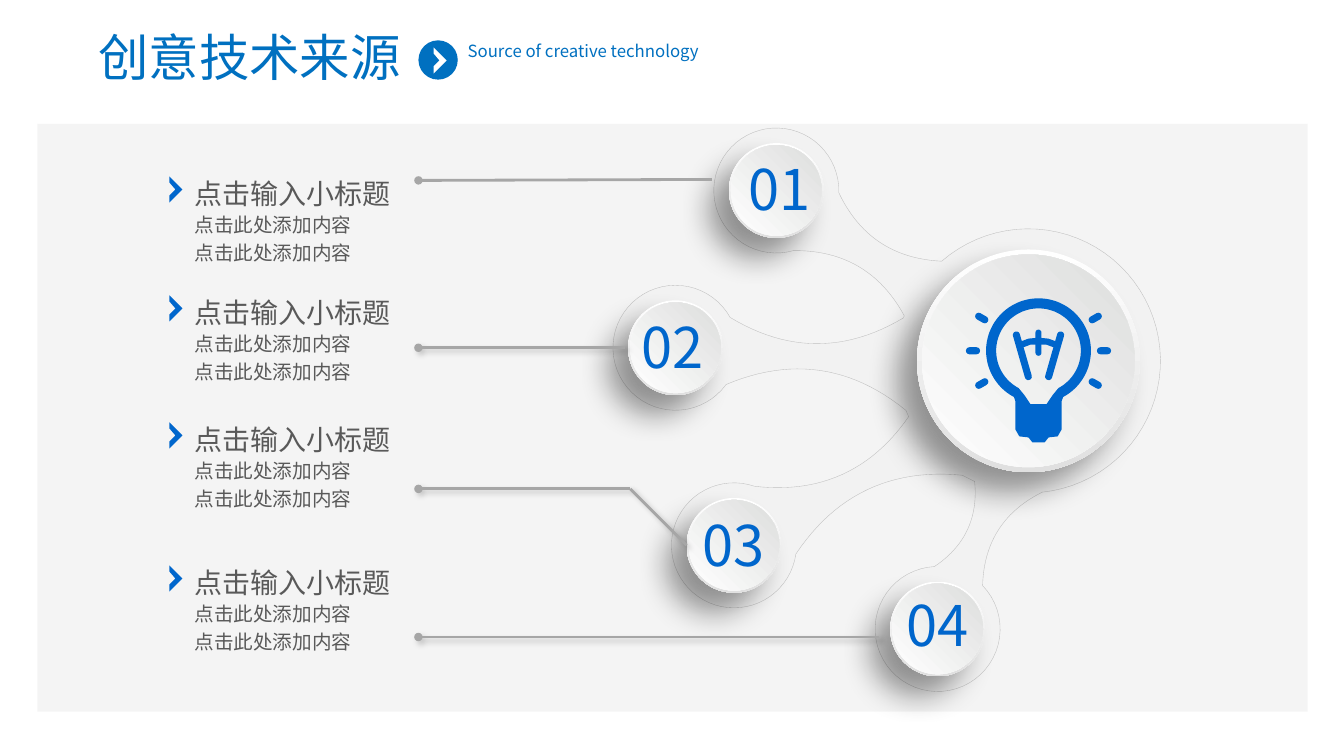
from math import cos, radians, sin

from lxml import etree
from pptx import Presentation
from pptx.dml.color import RGBColor
from pptx.enum.shapes import MSO_CONNECTOR, MSO_SHAPE
from pptx.enum.text import MSO_ANCHOR, MSO_AUTO_SIZE, PP_ALIGN
from pptx.oxml.ns import qn
from pptx.util import Inches, Pt

STRAIGHT = MSO_CONNECTOR.STRAIGHT
RECTANGLE, ELLIPSE, ROUNDED = MSO_SHAPE.RECTANGLE, MSO_SHAPE.OVAL, MSO_SHAPE.ROUNDED_RECTANGLE
LEFT, CENTER = PP_ALIGN.LEFT, PP_ALIGN.CENTER
TOP, NO_FIT = MSO_ANCHOR.TOP, MSO_AUTO_SIZE.NONE
FONT = "Noto Sans CJK SC"
BLUE, TITLE_BLUE, GREY, LINE_GREY = "0066CC", "0070C0", "595959", "A6A6A6"

CHEVRON = [(0, 0), (.13, .13), (0, .26), (0, .19), (.06, .13), (0, .06)]
HUB = (4.2, 2.58)
NODES = {
    "04": {"center": (3.3, 5.24), "arc": (-44, 267), "joints": (84, 114), "shift": (0, -.05)},
    "03": {"center": (1.28, 4.41), "arc": (8, 289), "joints": (120, 155), "shift": (0, -.01)},
    "02": {"center": (.7, 2.45), "arc": (36, 331), "joints": (158, 199), "shift": (-.03, -.02)},
    "01": {"center": (1.7, .89), "arc": (74, 362), "joints": (200, 229), "shift": (.03, -.03)},
}


def color(value):
    """Turn a hex string into a colour."""
    return RGBColor.from_string(value)


def arc(center, radius, start, end, steps=48):
    """List points along a circle, clockwise from start to end in degrees."""
    angles = [radians(start + (end - start) * step / steps) for step in range(steps + 1)]
    return [(center[0] + radius * cos(a), center[1] + radius * sin(a)) for a in angles]


def bridge(start, end, bend=.3, steps=24):
    """List points along a curve that bows to one side of its chord."""
    across, down = end[0] - start[0], end[1] - start[1]
    points = []
    for step in range(1, steps):
        t = step / steps
        bow = 2 * bend * t * (1 - t)
        points.append((start[0] + across * t - down * bow, start[1] + down * t + across * bow))
    return points


def web_outline():
    """Join the hub and all nodes into one outline."""
    points = arc(HUB, 1.31, 229 - 360, 84)
    for node in NODES.values():
        entry, leave = (arc(HUB, 1.31, angle, angle, 1)[0] for angle in node["joints"])
        ring = arc(node["center"], .62, *node["arc"])
        points += [entry, *bridge(entry, ring[0]), *ring, *bridge(ring[-1], leave), leave]
    return points


def mirrored(half):
    """Complete a half outline with its reflection."""
    return half + [(-x, y) for x, y in reversed(half)]


def add_shadow(effects, alpha, blur, distance, angle):
    """Put an outer shadow into an effect list."""
    shadow = etree.SubElement(effects, qn("a:outerShdw"), blurRad=str(Pt(blur)),
                              dist=str(Pt(distance)), dir=str(angle * 60000),
                              algn="ctr", rotWithShape="0")
    black = etree.SubElement(shadow, qn("a:srgbClr"), val="000000")
    etree.SubElement(black, qn("a:alpha"), val=str(alpha * 1000))


def paint(shape, fill):
    """Give a shape a plain fill without line or shadow."""
    shape.shadow.inherit = False
    shape.fill.solid()
    shape.fill.fore_color.rgb = color(fill)
    shape.line.fill.background()
    return shape


def add_preset(slide, kind, left, top, width, height, fill):
    """Add a plain preset shape."""
    shape = slide.shapes.add_shape(kind, *map(Inches, (left, top, width, height)))
    return paint(shape, fill)


def add_outline(slide, left, top, contours, fill):
    """Add a filled freeform made of closed contours."""
    placed = [[(Inches(left + x), Inches(top + y)) for x, y in points] for points in contours]
    builder = slide.shapes.build_freeform(*placed[0][0], scale=1.0)
    for index, points in enumerate(placed):
        if index:
            builder.move_to(*points[0])
        builder.add_line_segments(points[1:], close=True)
    return paint(builder.convert_to_shape(), fill)


def write(shape, lines, size, text_color, align=LEFT, wrap=True, spacing=None):
    """Fill a shape with evenly formatted paragraphs."""
    frame = shape.text_frame
    frame.word_wrap, frame.auto_size, frame.vertical_anchor = wrap, NO_FIT, TOP
    frame.text = "\n".join(lines)
    for paragraph in frame.paragraphs:
        paragraph.alignment, paragraph.line_spacing = align, spacing
        paragraph.font.size, paragraph.font.name = Pt(size), FONT
        paragraph.font.color.rgb = color(text_color)
        for run in paragraph.runs:
            etree.SubElement(run._r.get_or_add_rPr(), qn("a:ea"), typeface=FONT)


def add_text(slide, left, top, width, height, *content, **style):
    """Add a text box."""
    write(slide.shapes.add_textbox(*map(Inches, (left, top, width, height))), *content, **style)


def add_header(slide, left, top):
    """Place the title, the arrow badge and the subtitle."""
    title = slide.shapes.title
    title.left, title.top, title.width, title.height = map(Inches, (left, top, 3.43, .71))
    write(title, ["创意技术来源"], 36, TITLE_BLUE, align=CENTER)
    add_preset(slide, ELLIPSE, left + 3.39, top + .19, .39, .39, TITLE_BLUE)
    add_outline(slide, left + 3.54, top + .26, [CHEVRON], "FFFFFF")
    add_text(slide, left + 3.78, top + .15, 2.5, .5,
             ["Source of creative technology"], 12, TITLE_BLUE)


def add_disc(slide, center_x, center_y, size, rim):
    """Place a raised disc with a shaded rim."""
    for inset, end, angle in ((0, "E0E0E0", 270), (rim, "DDDEDD", 45)):
        side = size - 2 * inset
        disc = add_preset(slide, ELLIPSE, center_x - side / 2, center_y - side / 2,
                          side, side, end)
        disc.fill.gradient()
        disc.fill.gradient_angle = angle
        for stop, value in zip(disc.fill.gradient_stops, ("FFFFFF", end)):
            stop.color.rgb = color(value)
        if not inset:
            add_shadow(disc._element.spPr.find(qn("a:effectLst")), 40, 22, 20, 135)


def add_stroke(slide, center_x, center_y, width, height, angle):
    """Place a turned bar with round ends."""
    bar = add_preset(slide, ROUNDED, center_x - width / 2, center_y - height / 2,
                     width, height, BLUE)
    bar.adjustments[0] = .5
    bar.rotation = angle


def add_bulb(slide, center, top):
    """Place the light bulb with its filament and rays."""
    middle = (0, .52)
    glass = arc(middle, .52, -90, 62) + [(.23, 1.02), (.23, 1.3), (.19, 1.37),
                                         (.1, 1.38), (.06, 1.43)]
    hole = arc(middle, .42, -90, 62) + [(.14, .96), (.08, 1.05)]
    arch = [(0, .39), (.1, .4), (.18, .43), (.16, .49), (.08, .46), (0, .46)]
    add_outline(slide, center, top, [mirrored(glass), mirrored(hole)], BLUE)
    for angle in (-30, 0, 30, 150, 180, 210):
        x, y = arc(middle, .65, angle, angle, 1)[0]
        add_stroke(slide, center + x, top + y, .14, .07, angle)
    add_outline(slide, center, top, [mirrored(arch)], BLUE)
    add_stroke(slide, center, top + .44, .06, .26, 0)
    for side in (-1, 1):
        add_stroke(slide, center + side * .16, top + .57, .07, .5, side * 16)


def add_network(slide, left, top):
    """Place the web with its hub and numbered discs."""
    web = add_outline(slide, left, top, [web_outline()], "F2F2F2")
    web.line.color.rgb = color("BFBFBF")
    web.line.width = Pt(.25)
    add_disc(slide, left + HUB[0], top + HUB[1], 2.21, .05)
    for number, node in sorted(NODES.items()):
        x, y = left + node["center"][0], top + node["center"][1]
        shift_x, shift_y = node["shift"]
        add_disc(slide, x, y, .94, .02)
        add_text(slide, x + shift_x - .43, y + shift_y - .38, .86, .77, [number],
                 40, BLUE, align=CENTER, wrap=False)
    add_bulb(slide, left + 4.3, top + 1.96)


def add_leader(slide, start, end, dot=True, shadow=True):
    """Draw a leader line, with a dot at its end if asked."""
    line = slide.shapes.add_connector(STRAIGHT, *map(Inches, start + end))
    line.line.color.rgb = color(LINE_GREY)
    line.line.width = Pt(2)
    properties = line._element.spPr
    if dot:
        etree.SubElement(properties.find(qn("a:ln")), qn("a:tailEnd"), type="oval")
    effects = etree.SubElement(properties, qn("a:effectLst"))
    if shadow:
        add_shadow(effects, 20, 4, 3, 45)


def add_leaders(slide, left, top):
    """Place the leader lines between items and discs."""
    add_leader(slide, (left + 2.91, top), (left, top + .01), shadow=False)
    for reach, down in ((2.05, 1.67), (4.57, 4.54), (2.1, 3.07)):
        add_leader(slide, (left + reach, top + down), (left, top + down))
    add_leader(slide, (left + 2.66, top + 3.63), (left + 2.1, top + 3.07), dot=False)


def add_item(slide, left, top):
    """Place a bulleted heading with two lines below."""
    add_text(slide, left + .15, top + .32, 2.33, .66, ["点击此处添加内容"] * 2,
             14, GREY, spacing=Pt(20))
    add_outline(slide, left, top + .05, [CHEVRON], BLUE)
    add_text(slide, left + .15, top, 2.71, .44, ["点击输入小标题"], 20, GREY)


def main():
    """Build and save the slide."""
    presentation = Presentation()
    presentation.slide_width, presentation.slide_height = Inches(13.33), Inches(7.5)
    slide = presentation.slides.add_slide(presentation.slide_layouts[5])
    panel = add_preset(slide, RECTANGLE, .37, 1.23, 12.6, 5.83, "F2F2F2")
    panel_color = next(panel._element.spPr.iter(qn("a:srgbClr")))
    etree.SubElement(panel_color, qn("a:alpha"), val="78000")
    add_network(slide, 6, 1)
    add_header(slide, .76, .21)
    add_leaders(slide, 4.15, 1.78)
    for top in (1.7, 2.88, 4.14, 5.56):
        add_item(slide, 1.68, top)
    presentation.save("out.pptx")


main()
